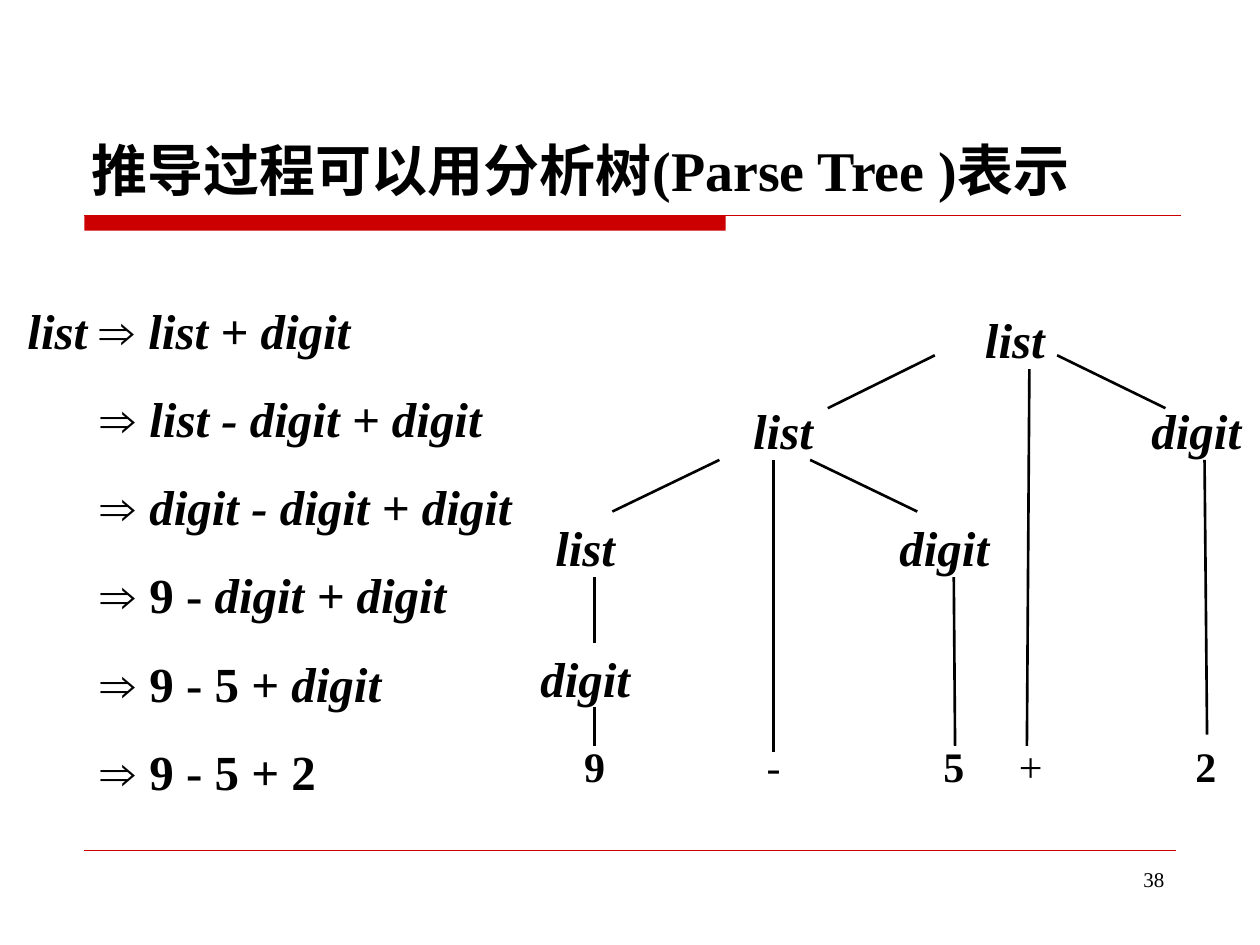
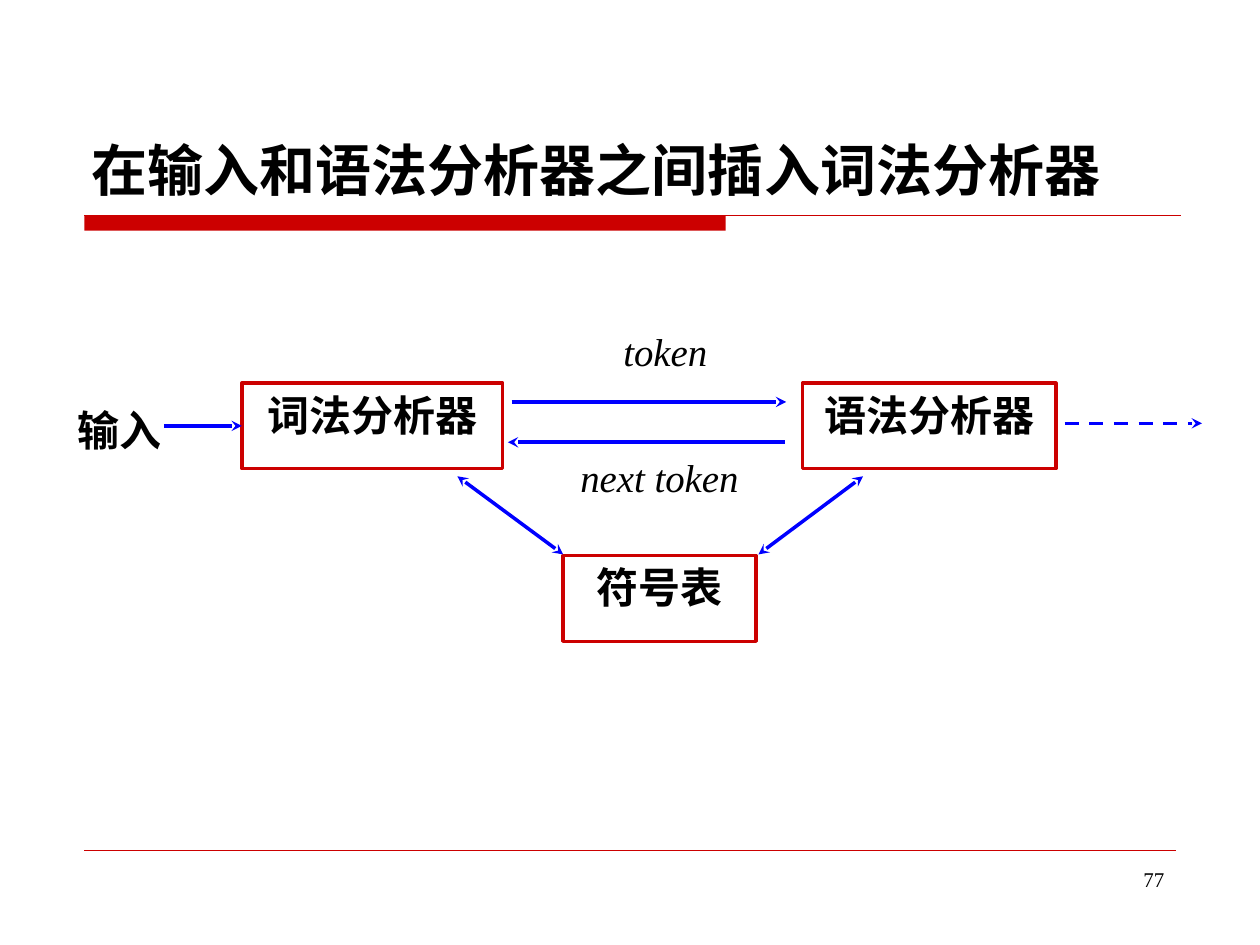
import pptx
import pptx.dml.color
import pptx.enum.dml
import pptx.enum.shapes
import pptx.enum.text
import pptx.oxml
import pptx.oxml.ns
import pptx.util

Inches = pptx.util.Inches
ALIGN = pptx.enum.text.PP_ALIGN
ANCHOR = pptx.enum.text.MSO_ANCHOR
RECTANGLE = pptx.enum.shapes.MSO_SHAPE.RECTANGLE
STRAIGHT = pptx.enum.shapes.MSO_CONNECTOR.STRAIGHT

COLORS = {"text": "000000", "red": "CC0000", "blue": "0000FF", "white": "FFFFFF"}
SERIF = "Times New Roman"


def write(box, text, size=24, bold=False, italic=False, font=SERIF,
          align=ALIGN.CENTER, anchor=ANCHOR.TOP, spacing=None, new_para=False):
    """Append a span to the last paragraph of the box, or to a new one."""
    frame = box.text_frame
    frame.word_wrap = True
    frame.vertical_anchor = anchor
    para = frame.add_paragraph() if new_para else frame.paragraphs[-1]
    para.alignment = align
    if spacing:
        para.line_spacing = spacing
    span = para.add_run()
    span.text = text
    span.font.size = pptx.util.Pt(size)
    span.font.bold = bold
    span.font.italic = italic
    span.font.name = font
    span.font.color.rgb = pptx.dml.color.RGBColor.from_string(COLORS["text"])
    return para


def draw_line(page, start, end, color, width, heads=(), dash=None):
    """Draw a straight line; heads lists "headEnd" (start) and "tailEnd" (end)."""
    line = page.shapes.add_connector(STRAIGHT, *map(Inches, start + end))
    line.line.color.rgb = pptx.dml.color.RGBColor.from_string(COLORS[color])
    line.line.width = pptx.util.Pt(width)
    if dash:
        line.line.dash_style = dash
    for head in heads:
        arrow = pptx.oxml.parse_xml(
            f'<a:{head} {pptx.oxml.ns.nsdecls("a")} type="stealth"/>')
        line.line._get_or_add_ln().append(arrow)
    line._element.spPr.append(
        pptx.oxml.parse_xml(f'<a:effectLst {pptx.oxml.ns.nsdecls("a")}/>'))
    return line


deck = pptx.Presentation()
deck.slide_width, deck.slide_height = Inches(10), Inches(7.5)

# Shared title, red band, footer rule and page number
pages = []
for title, number in [("推导过程可以用分析树(Parse Tree )表示", "38"),
                      ("在输入和语法分析器之间插入词法分析器", "77")]:
    page = deck.slides.add_slide(deck.slide_layouts[6])
    band = page.shapes.add_shape(RECTANGLE, *map(Inches, (0.67, 1.71, 5.09, 0.12)))
    band.shadow.inherit = False
    band.fill.solid()
    band.fill.fore_color.rgb = pptx.dml.color.RGBColor.from_string(COLORS["red"])
    band.line.fill.background()
    draw_line(page, (0.67, 1.71), (9.37, 1.71), "red", 0.75)
    draw_line(page, (0.67, 6.75), (9.33, 6.75), "red", 0.25)
    box = page.shapes.add_textbox(*map(Inches, (7.17, 6.83, 2.17, 0.52)))
    write(box, number, size=12, align=ALIGN.RIGHT)
    box = page.shapes.add_textbox(*map(Inches, (0.63, 0.33, 8.75, 1.33)))
    write(box, title, size=32, bold=True, align=ALIGN.LEFT, anchor=ANCHOR.BOTTOM)
    pages.append(page)
tree_page, lexer_page = pages

# Parse tree: inner nodes, leaves, edges
for symbol, left, top in [("list", 7.27, 2.41), ("list", 5.43, 3.13),
                          ("digit", 8.71, 3.13), ("list", 3.86, 4.06),
                          ("digit", 6.71, 4.06), ("digit", 3.86, 5.1)]:
    node = tree_page.shapes.add_textbox(*map(Inches, (left, top, 1.57, 0.57)))
    write(node, symbol, size=28, bold=True, italic=True)

for symbol, left in [("9", 4.29), ("-", 5.71), ("5", 7.14), ("+", 7.75), ("2", 9.14)]:
    leaf = tree_page.shapes.add_textbox(*map(Inches, (left, 5.83, 0.86, 0.5)))
    write(leaf, symbol, bold=symbol.isdigit())

for start, end in [((7.42, 2.82), (6.57, 3.24)), ((8.39, 2.82), (9.25, 3.24)),
                   ((5.71, 3.65), (4.86, 4.06)), ((6.43, 3.65), (7.28, 4.06)),
                   ((8.17, 2.93), (8.15, 5.92)), ((6.14, 3.65), (6.14, 5.97)),
                   ((9.56, 3.65), (9.58, 5.83)), ((7.57, 4.58), (7.58, 5.92)),
                   ((4.72, 4.58), (4.72, 5.1)), ((4.72, 5.61), (4.72, 5.92))]:
    draw_line(tree_page, start, end, "text", 1.5)

# Derivation steps: (digits already replaced, symbols still to expand)
derivation = tree_page.shapes.add_textbox(*map(Inches, (0.12, 2.1, 4.73, 4.31)))
step_format = {"size": 28, "bold": True, "align": ALIGN.LEFT, "spacing": 1.5}
steps = [("", "list + digit"), ("", "list - digit + digit"),
         ("", "digit - digit + digit"), ("9 - ", "digit + digit"),
         ("9 - 5 + ", "digit"), ("9 - 5 + 2", "")]
for index, (terminals, symbols) in enumerate(steps):
    if index == 0:
        write(derivation, "list ", italic=True, **step_format)
    para = write(derivation, "⇒ ", font="Arial", new_para=index > 0, **step_format)
    if index > 0:
        para._p.get_or_add_pPr().set("marL", str(Inches(0.58)))
    if terminals:
        write(derivation, terminals, **step_format)
    if symbols:
        write(derivation, symbols, italic=True, **step_format)

# Compiler parts and the captions of the arrows between them
parts = {}
for name, place, framed in [("词法分析器", (1.92, 3.04, 2.07, 0.68), True),
                            ("语法分析器", (6.37, 3.04, 2.01, 0.68), True),
                            ("符号表", (4.47, 4.41, 1.53, 0.68), True),
                            ("token", (4.37, 2.59, 1.82, 0.5), False),
                            ("next token", (4.12, 3.59, 2.23, 0.5), False)]:
    part = lexer_page.shapes.add_shape(RECTANGLE, *map(Inches, place))
    part.shadow.inherit = False
    part.fill.solid()
    part.fill.fore_color.rgb = pptx.dml.color.RGBColor.from_string(COLORS["white"])
    if framed:
        part.line.color.rgb = pptx.dml.color.RGBColor.from_string(COLORS["red"])
        part.line.width = pptx.util.Pt(2)
        write(part, name, bold=True)
    else:
        part.line.fill.background()
        write(part, name, size=22.2, italic=True, spacing=0.9)
    parts[name] = part

source = lexer_page.shapes.add_textbox(*map(Inches, (0.28, 3.16, 1.33, 0.69)))
write(source, "输入", bold=True)

# Data flow
one_way, both_ways = ["tailEnd"], ["headEnd", "tailEnd"]
for start, end, heads in [((3.63, 3.78), (4.47, 4.4), both_ways),
                          ((6.85, 3.78), (6.02, 4.4), both_ways),
                          ((4.06, 3.19), (6.24, 3.19), one_way),
                          ((6.23, 3.51), (4.03, 3.51), one_way)]:
    draw_line(lexer_page, start, end, "blue", 2, heads)
input_arrow = draw_line(lexer_page, (1.3, 3.38), (1.92, 3.38), "blue", 2, one_way)
input_arrow.end_connect(parts["词法分析器"], 1)
draw_line(lexer_page, (8.45, 3.36), (9.54, 3.36), "blue", 2, one_way,
          dash=pptx.enum.dml.MSO_LINE.DASH)

deck.save("out.pptx")
